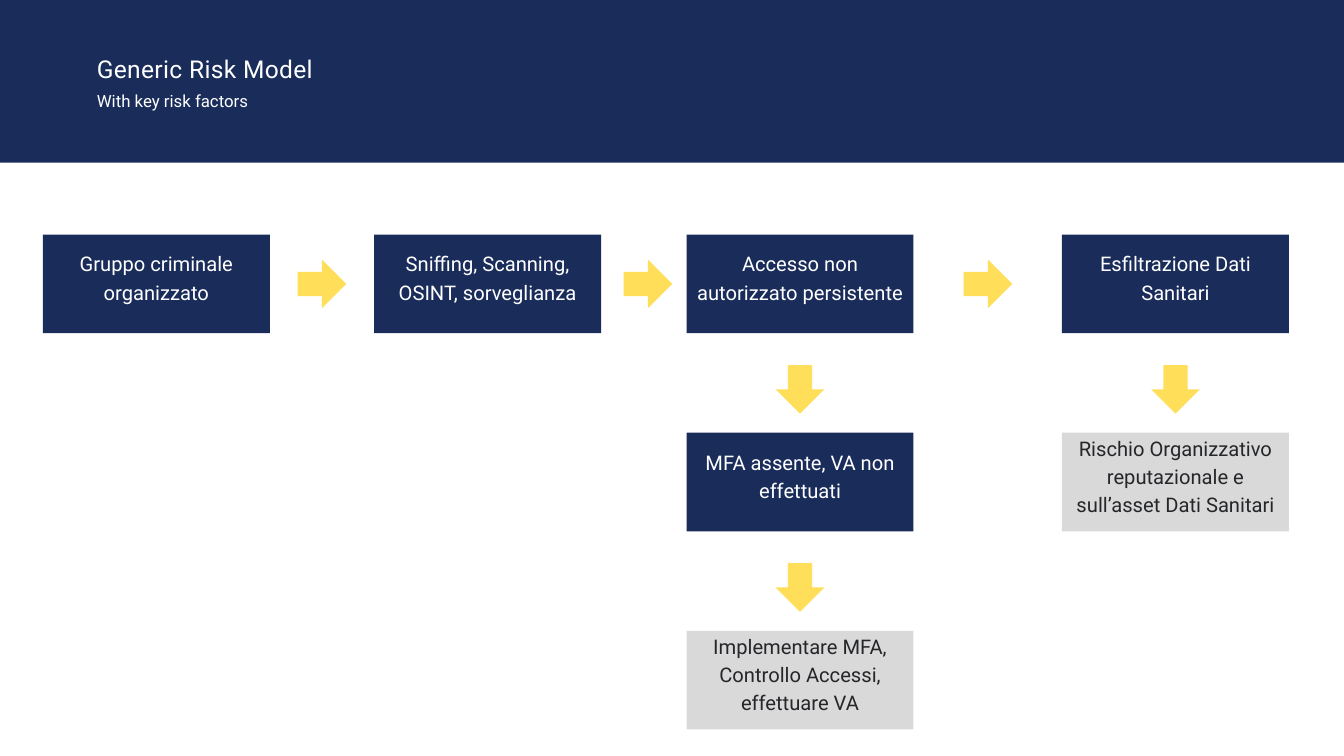
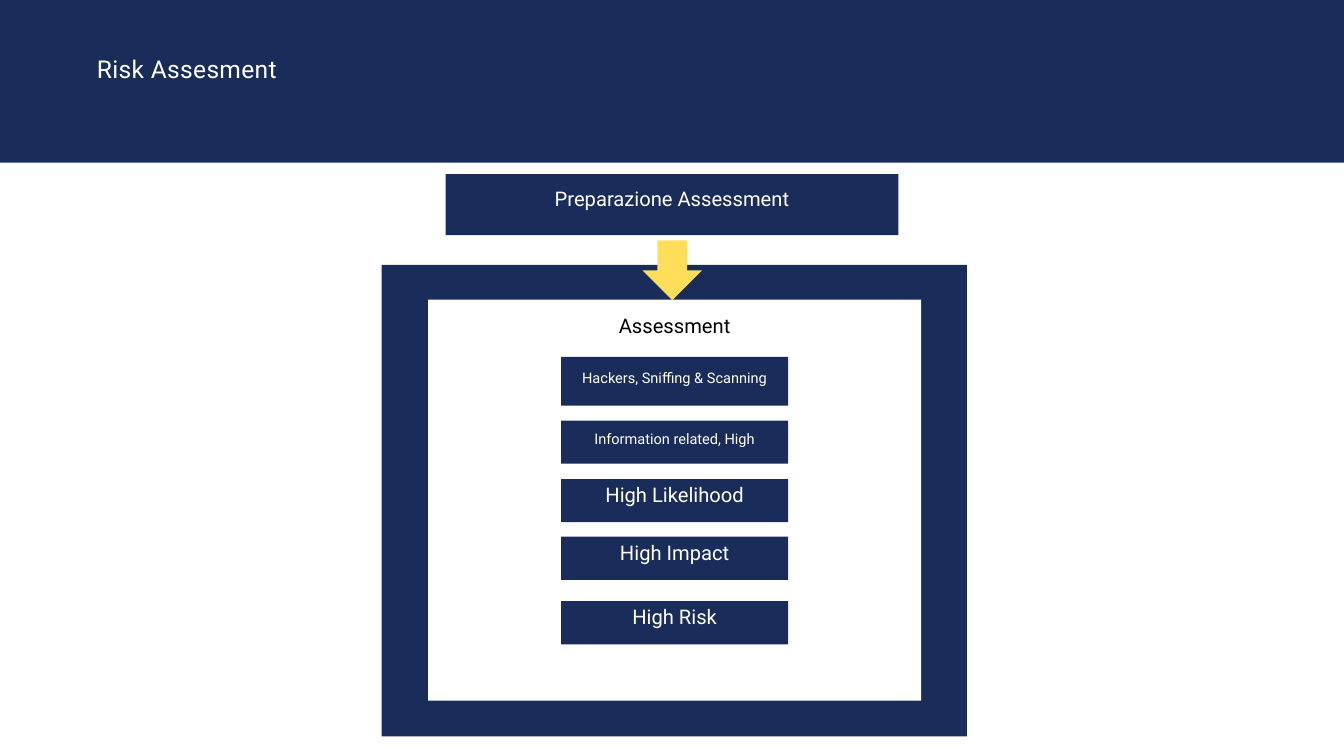
from dataclasses import dataclass

from pptx import Presentation
from pptx.dml.color import RGBColor
from pptx.enum.shapes import MSO_SHAPE
from pptx.enum.text import MSO_ANCHOR, PP_ALIGN
from pptx.shapes.autoshape import Shape
from pptx.slide import Slide
from pptx.util import Cm, Pt

NAVY = RGBColor(0x1A, 0x2C, 0x5A)
YELLOW = RGBColor(0xFF, 0xDE, 0x59)
GREY = RGBColor(0xD9, 0xD9, 0xD9)
CHARCOAL = RGBColor(0x25, 0x26, 0x29)
WHITE = RGBColor(0xFF, 0xFF, 0xFF)
BLACK = RGBColor(0x00, 0x00, 0x00)

FONT = "Roboto"
LINE_RATIO = 1.4
BODY_SIZE = 21.6
SMALL_SIZE = 15.6
INSET = 0.15
LIFT = 0.6  # extra bottom inset that raises the text above the middle
SMALL_LIFT = 0.4

# All positions below are in centimetres
SLIDE_WIDTH, SLIDE_HEIGHT = 50.8, 28.58
BAND_HEIGHT = 6.15
HEADING_LEFT, HEADING_WIDTH = 3.66, 22.28
BOX_WIDTH, BOX_HEIGHT = 8.58, 3.73
COLUMNS = (1.62, 14.14, 25.95, 40.14)
FIRST_ROW, ROW_PITCH = 8.87, 7.49
ARROW_SIZE = 1.84
DOWN_ARROW_OFFSET = 4.93


@dataclass(frozen=True)
class Area:
    left: float
    top: float
    width: float
    height: float

    def lengths(self) -> tuple[Cm, Cm, Cm, Cm]:
        return Cm(self.left), Cm(self.top), Cm(self.width), Cm(self.height)


@dataclass(frozen=True)
class RiskFactor:
    text: str
    column: int
    row: int = 0
    fill: RGBColor = NAVY
    color: RGBColor = WHITE

    def area(self) -> Area:
        return Area(COLUMNS[self.column], FIRST_ROW + self.row * ROW_PITCH,
                    BOX_WIDTH, BOX_HEIGHT)


@dataclass(frozen=True)
class AssessmentStep:
    text: str
    top: float
    height: float = 1.63
    size: float = BODY_SIZE
    lift: float = LIFT


RISK_FACTORS = (
    RiskFactor("Gruppo criminale organizzato", 0),
    RiskFactor("Sniffing, Scanning, OSINT, sorveglianza", 1),
    RiskFactor("Accesso non autorizzato persistente", 2),
    RiskFactor("MFA assente, VA non effettuati", 2, 1),
    RiskFactor("Implementare MFA, Controllo Accessi, effettuare VA", 2, 2,
               GREY, CHARCOAL),
    RiskFactor("Esfiltrazione Dati Sanitari", 3),
    RiskFactor("Rischio Organizzativo reputazionale e sull’asset Dati Sanitari",
               3, 1, GREY, CHARCOAL),
)
RIGHT_ARROWS = (11.25, 23.57, 36.42)

ASSESSMENT_STEPS = (
    AssessmentStep("Hackers, Sniffing & Scanning", 13.49, 1.85,
                   SMALL_SIZE, SMALL_LIFT),
    AssessmentStep("Information related, High", 15.9, size=SMALL_SIZE,
                   lift=SMALL_LIFT),
    AssessmentStep("High Likelihood", 18.11),
    AssessmentStep("High Impact", 20.29),
    AssessmentStep("High Risk", 22.73),
)


def write(shape: Shape, text: str, size: float, color: RGBColor,
          align: PP_ALIGN, frame_format: dict, spacing: int = 0) -> None:
    """Fill a shape with one paragraph in the deck's type style."""
    frame = shape.text_frame
    for name, value in {"word_wrap": True, **frame_format}.items():
        setattr(frame, name, value)
    paragraph = frame.paragraphs[0]
    paragraph.alignment = align
    paragraph.line_spacing = Pt(size * LINE_RATIO)
    run = paragraph.add_run()
    run.text = text
    for name, value in {"name": FONT, "size": Pt(size)}.items():
        setattr(run.font, name, value)
    run.font.color.rgb = color
    if spacing:
        run._r.get_or_add_rPr().set("spc", str(spacing))


def add_block(slide: Slide, area: Area, fill: RGBColor,
              kind: MSO_SHAPE = MSO_SHAPE.RECTANGLE) -> Shape:
    block = slide.shapes.add_shape(kind, *area.lengths())
    block.shadow.inherit = False
    block.fill.solid()
    block.fill.fore_color.rgb = fill
    block.line.fill.background()
    return block


def add_label_box(slide: Slide, area: Area, text: str, fill: RGBColor = NAVY,
                  color: RGBColor = WHITE, size: float = BODY_SIZE,
                  lift: float = LIFT) -> None:
    write(add_block(slide, area, fill), text, size, color, PP_ALIGN.CENTER, {
        "vertical_anchor": MSO_ANCHOR.MIDDLE,
        "margin_left": Cm(INSET), "margin_right": Cm(INSET),
        "margin_top": Cm(INSET), "margin_bottom": Cm(INSET + lift),
    })


def add_heading(slide: Slide, text: str, top: float, height: float,
                size: float, spacing: int = 0) -> None:
    area = Area(HEADING_LEFT, top, HEADING_WIDTH, height)
    heading = slide.shapes.add_textbox(*area.lengths())
    no_margins = {f"margin_{side}": 0 for side in ("left", "right", "top", "bottom")}
    write(heading, text, size, WHITE, PP_ALIGN.LEFT, no_margins, spacing)


def add_banded_slide(deck: Presentation, title: str) -> Slide:
    slide = deck.slides.add_slide(deck.slide_layouts[6])
    add_block(slide, Area(0, 0, SLIDE_WIDTH, BAND_HEIGHT), NAVY)
    add_heading(slide, title, 1.86, 1.27, 26.3, 40)
    return slide


def build_risk_model(deck: Presentation) -> None:
    slide = add_banded_slide(deck, "Generic Risk Model")
    add_heading(slide, "With key risk factors", 3.3, 0.84, 18)

    # Boxes, with a down arrow above each box below the first row
    for factor in RISK_FACTORS:
        area = factor.area()
        add_label_box(slide, area, factor.text, factor.fill, factor.color)
        if factor.row:
            left = area.left + (BOX_WIDTH - ARROW_SIZE) / 2
            top = area.top - ROW_PITCH + DOWN_ARROW_OFFSET
            add_block(slide, Area(left, top, ARROW_SIZE, ARROW_SIZE), YELLOW,
                      MSO_SHAPE.DOWN_ARROW)

    # Arrows along the first row
    arrow_top = FIRST_ROW + (BOX_HEIGHT - ARROW_SIZE) / 2
    for left in RIGHT_ARROWS:
        add_block(slide, Area(left, arrow_top, ARROW_SIZE, ARROW_SIZE), YELLOW,
                  MSO_SHAPE.RIGHT_ARROW)


def build_risk_assessment(deck: Presentation) -> None:
    slide = add_banded_slide(deck, "Risk Assesment")
    add_label_box(slide, Area(16.84, 6.58, 17.12, 2.31), "Preparazione Assessment")

    # Framed panel with its heading at the top
    add_block(slide, Area(14.43, 10.01, 22.12, 17.83), NAVY)
    panel = add_block(slide, Area(16.18, 11.33, 18.64, 15.16), WHITE)
    write(panel, "Assessment", BODY_SIZE, BLACK, PP_ALIGN.CENTER,
          {"vertical_anchor": MSO_ANCHOR.TOP, "margin_top": Cm(0.36)})

    # Steps inside the panel
    for step in ASSESSMENT_STEPS:
        add_label_box(slide, Area(21.21, step.top, BOX_WIDTH, step.height),
                      step.text, size=step.size, lift=step.lift)

    add_block(slide, Area(24.28, 9.09, 2.26, 2.26), YELLOW, MSO_SHAPE.DOWN_ARROW)


def main() -> None:
    deck = Presentation()
    deck.slide_width, deck.slide_height = Cm(SLIDE_WIDTH), Cm(SLIDE_HEIGHT)
    build_risk_model(deck)
    build_risk_assessment(deck)
    deck.save("out.pptx")


if __name__ == "__main__":
    main()
